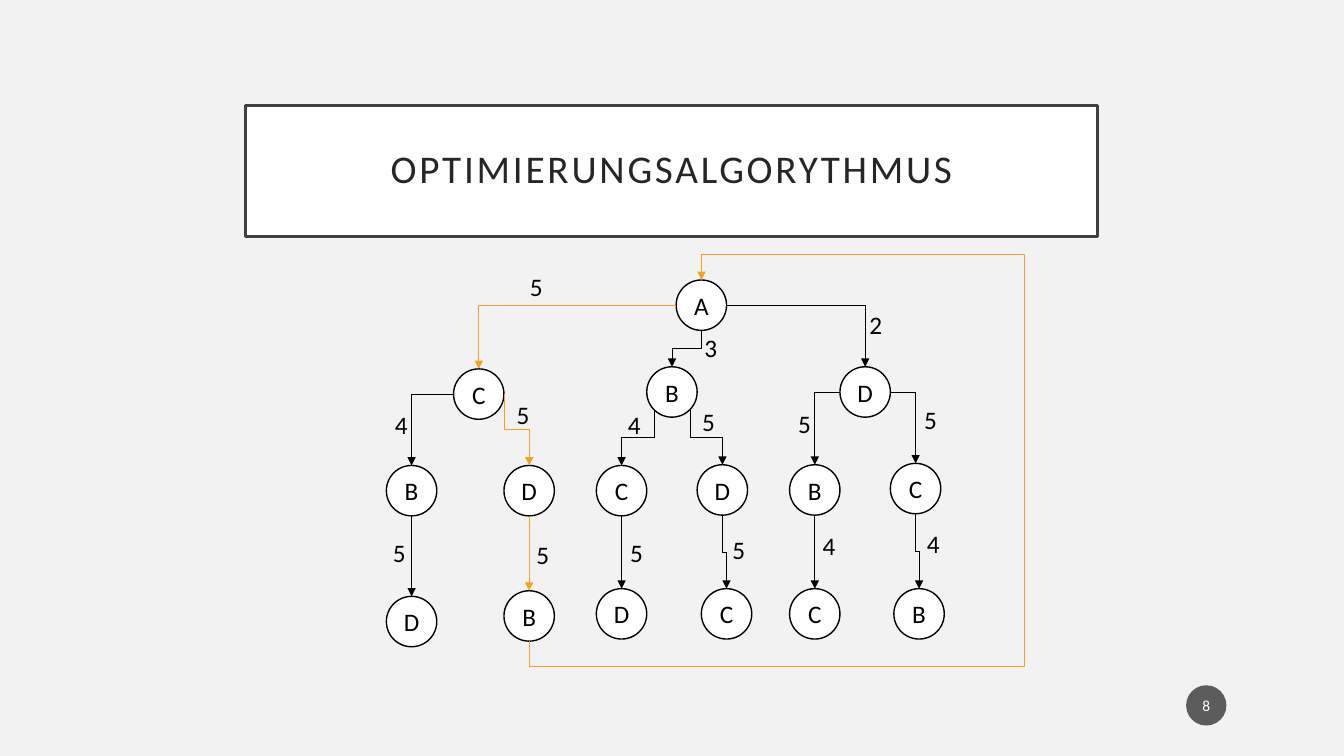
from dataclasses import dataclass
from typing import NamedTuple

from lxml import etree
from pptx import Presentation
from pptx.dml.color import RGBColor
from pptx.enum.shapes import MSO_CONNECTOR, MSO_SHAPE
from pptx.enum.text import MSO_ANCHOR, MSO_AUTO_SIZE, PP_ALIGN
from pptx.oxml.ns import qn
from pptx.util import Pt

ELBOW = MSO_CONNECTOR.ELBOW
CIRCLE, PAGE_BADGE = MSO_SHAPE.FLOWCHART_CONNECTOR, MSO_SHAPE.OVAL
MIDDLE, TOP = MSO_ANCHOR.MIDDLE, MSO_ANCHOR.TOP
CENTER, LEFT = PP_ALIGN.CENTER, PP_ALIGN.LEFT
NO_FIT, GROW = MSO_AUTO_SIZE.NONE, MSO_AUTO_SIZE.SHAPE_TO_FIT_TEXT

BACKGROUND = RGBColor(0xF2, 0xF2, 0xF2)
WHITE = RGBColor(0xFF, 0xFF, 0xFF)
BLACK = RGBColor(0x00, 0x00, 0x00)
ORANGE = RGBColor(0xF6, 0xA2, 0x1D)
TITLE_TEXT = RGBColor(0x26, 0x26, 0x26)
TITLE_BORDER = RGBColor(0x40, 0x40, 0x40)
BADGE_FILL = RGBColor(0x1D, 0x1D, 0x1D)

FONT = "Calibri"
DIAMETER = 36
RADIUS = DIAMETER / 2
BEST_TOUR = {"C", "CD", "CDB"}


class Exit(NamedTuple):
    """Where an edge leaves its parent, in radii, and if it runs sideways first."""
    dx: float
    dy: float
    sideways: bool = False


class Point(NamedTuple):
    """A place on the slide in points."""
    x: float
    y: float


class Bend(NamedTuple):
    """Preset, rotation, flips and adjustments of an elbow connector."""
    preset: str
    rotation: int = 0
    flips: str = ""
    adjustments: tuple[int, ...] = ()


BELOW = Exit(0, 1)
WEST, EAST = Exit(-1, 0, True), Exit(1, 0, True)
EAST_DOWN = Exit(1, 0)
SOUTHWEST, SOUTHEAST = Exit(-0.71, 0.71), Exit(0.71, 0.71)
LOOP_BEND = Bend("bentConnector5", 90, "HV", (-7000, 287700, 107000))


@dataclass(frozen=True)
class Stop:
    """A city in the tree; its route lists the cities visited after A."""
    route: str
    left: float
    top: float
    exit: Exit = BELOW
    cost: str = ""
    cost_left: float = 0
    cost_top: float = 0

    def at(self, dx: float, dy: float) -> Point:
        """Return the point that many radii from the centre."""
        return Point(self.left + RADIUS * (1 + dx), self.top + RADIUS * (1 + dy))


STOPS = [
    Stop("", 483, 200),
    Stop("D", 600, 262, EAST, "2", 614, 217.5),
    Stop("B", 462, 262, BELOW, "3", 496, 233.5),
    Stop("C", 324, 263.5, WEST, "5", 371.5, 190),
    Stop("CB", 276, 332.5, WEST, "4", 275, 288.5),
    Stop("CD", 360, 332.5, EAST_DOWN, "5", 362, 281.5),
    Stop("BC", 426, 332.5, SOUTHWEST, "4", 441.5, 288.5),
    Stop("BD", 498, 332, SOUTHEAST, "5", 494.5, 286.5),
    Stop("DB", 564, 332, WEST, "5", 563, 288),
    Stop("DC", 636, 331, EAST, "5", 653, 285),
    Stop("CBD", 276, 426, BELOW, "5", 273.5, 380),
    Stop("CDB", 360, 422, BELOW, "5", 376, 381.5),
    Stop("BCD", 426, 420.5, BELOW, "5", 443, 380),
    Stop("BDC", 501, 420.5, BELOW, "5", 516, 378),
    Stop("DBC", 564, 420.5, BELOW, "4", 580.5, 375),
    Stop("DCB", 638.5, 420.5, BELOW, "4", 655, 373.5),
]


def apply(target, values: dict) -> None:
    """Set each named attribute on the target."""
    for name, value in values.items():
        setattr(target, name, value)


def write(shape, text: str, size: float, color: RGBColor,
          align=CENTER, **frame_format) -> None:
    """Put one formatted line of text into a shape."""
    frame = shape.text_frame
    apply(frame, {"vertical_anchor": MIDDLE, "word_wrap": True, **frame_format})
    paragraph = frame.paragraphs[0]
    paragraph.alignment = align
    run = paragraph.add_run()
    run.text = text
    apply(run.font, {"name": FONT, "size": Pt(size), "bold": False})
    run.font.color.rgb = color


def paint(shape, fill: RGBColor, border: RGBColor, width: float) -> None:
    """Give a shape a solid fill and outline."""
    shape.fill.solid()
    shape.fill.fore_color.rgb = fill
    shape.line.color.rgb = border
    shape.line.width = Pt(width)


def add_title(slide, text: str) -> None:
    """Place and format the framed title."""
    title = slide.shapes.title
    apply(title, {"left": Pt(175.5), "top": Pt(75.5),
                  "width": Pt(608.5), "height": Pt(93.5)})
    paint(title, WHITE, TITLE_BORDER, 2.5)
    margins = dict.fromkeys(
        ("margin_left", "margin_top", "margin_right", "margin_bottom"), Pt(14.4))
    write(title, text, 28, TITLE_TEXT, auto_size=NO_FIT, **margins)
    paragraph = title.text_frame.paragraphs[0]
    paragraph.line_spacing = 0.9
    paragraph.runs[0].font._element.set("spc", "200")


def add_stop(slide, stop: Stop) -> None:
    """Draw a city as a lettered circle."""
    circle = slide.shapes.add_shape(
        CIRCLE, Pt(stop.left), Pt(stop.top), Pt(DIAMETER), Pt(DIAMETER))
    circle.shadow.inherit = False
    paint(circle, WHITE, BLACK, 1)
    write(circle, stop.route[-1:] or "A", 18, BLACK)


def choose_bend(start: Point, end: Point, sideways: bool) -> Bend:
    """Pick the elbow that leads down from start to end."""
    leftward = end.x <= start.x
    if sideways:
        return Bend("bentConnector2", 180, "V") if leftward else Bend("bentConnector2")
    return Bend("bentConnector3", 90) if leftward else Bend("bentConnector3", 270, "H")


def add_arrow(slide, start: Point, end: Point, bend: Bend, color: RGBColor) -> None:
    """Draw an elbow arrow; a quarter turn swaps the sides of its box."""
    width, height = abs(end.x - start.x), abs(end.y - start.y)
    if bend.rotation in (90, 270):
        width, height = height, width
    left = (start.x + end.x - width) / 2
    top = (start.y + end.y - height) / 2
    arrow = slide.shapes.add_connector(
        ELBOW, Pt(left), Pt(top), Pt(left + width), Pt(top + height))
    arrow.line.color.rgb = color
    arrow.line.width = Pt(0.5)
    properties = arrow.element.spPr
    placement = properties.find(qn("a:xfrm"))
    placement.set("rot", str(bend.rotation * 60000))
    for axis in bend.flips:
        placement.set(f"flip{axis}", "1")
    geometry = properties.find(qn("a:prstGeom"))
    geometry.set("prst", bend.preset)
    for number, value in enumerate(bend.adjustments, 1):
        etree.SubElement(geometry.find(qn("a:avLst")), qn("a:gd"),
                         name=f"adj{number}", fmla=f"val {value}")
    etree.SubElement(properties.find(qn("a:ln")), qn("a:tailEnd"), type="triangle")
    etree.SubElement(properties, qn("a:effectLst"))


def add_cost(slide, stop: Stop) -> None:
    """Write the cost of the edge that leads to a city."""
    cost = slide.shapes.add_textbox(
        Pt(stop.cost_left), Pt(stop.cost_top), Pt(23.75), Pt(29))
    write(cost, stop.cost, 18, BLACK, LEFT,
          vertical_anchor=TOP, word_wrap=False, auto_size=GROW)


def add_page_number(slide, number: str) -> None:
    """Draw the page number in a translucent disc."""
    badge = slide.shapes.add_shape(PAGE_BADGE, Pt(847.25), Pt(489.5), Pt(28.8), Pt(28.8))
    badge.shadow.inherit = False
    badge.fill.solid()
    badge.fill.fore_color.rgb = BADGE_FILL
    fill_color = badge.element.spPr.find(qn("a:solidFill"))[0]
    etree.SubElement(fill_color, qn("a:alpha"), val="70000")
    badge.line.fill.background()
    write(badge, number, 11, WHITE, margin_left=Pt(1.44), margin_right=Pt(1.44))


presentation = Presentation()
apply(presentation, {"slide_width": Pt(960), "slide_height": Pt(540)})
slide = presentation.slides.add_slide(presentation.slide_layouts[5])
slide.background.fill.solid()
slide.background.fill.fore_color.rgb = BACKGROUND

add_title(slide, "OPTIMIERUNGSALGORYTHMUS")
for stop in STOPS:
    add_stop(slide, stop)

by_route = {stop.route: stop for stop in STOPS}
for stop in STOPS[1:]:
    start = by_route[stop.route[:-1]].at(stop.exit.dx, stop.exit.dy)
    end = stop.at(0, -1)
    add_arrow(slide, start, end, choose_bend(start, end, stop.exit.sideways),
              ORANGE if stop.route in BEST_TOUR else BLACK)
add_arrow(slide, by_route["CDB"].at(0, 1), by_route[""].at(0, -1), LOOP_BEND, ORANGE)

for stop in STOPS[1:]:
    add_cost(slide, stop)
add_page_number(slide, "8")

presentation.save("out.pptx")
